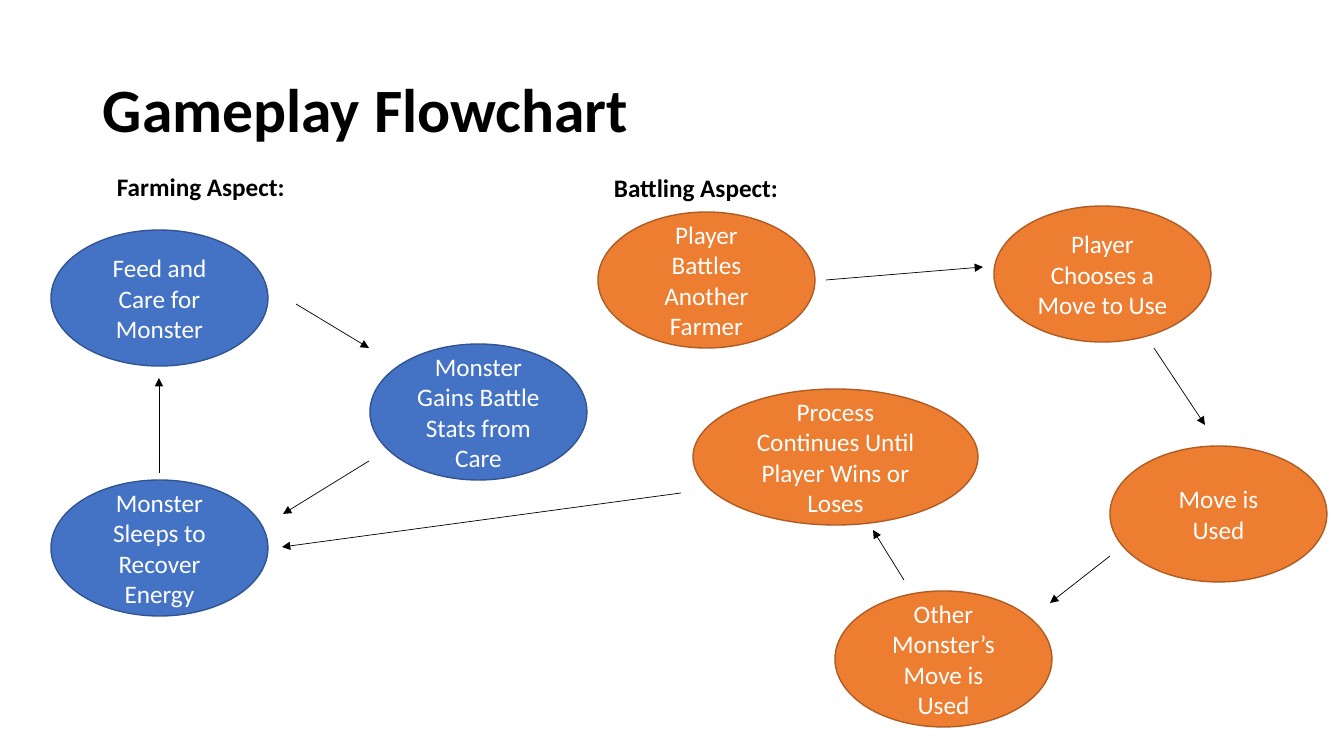
from dataclasses import dataclass

from lxml.etree import SubElement
from pptx import Presentation
from pptx.dml.color import RGBColor
from pptx.enum.shapes import MSO_CONNECTOR, MSO_SHAPE
from pptx.enum.text import MSO_ANCHOR, PP_ALIGN
from pptx.oxml.ns import qn
from pptx.util import Emu, Pt


@dataclass(frozen=True)
class Theme:
    font: str = "Calibri"
    title_size: float = 44
    body_size: float = 18
    ink: str = "000000"
    paper: str = "FFFFFF"
    farming: tuple = ("4472C4", "325491")
    battling: tuple = ("ED7D31", "AF5C24")
    outline: float = 1
    arrow: float = 0.5


def px(pixels):
    return Emu(round(pixels * 914400 / 100.8))


class Flowchart:
    def __init__(self, slide, theme):
        self.slide = slide
        self.theme = theme
        slide.background.fill.solid()
        slide.background.fill.fore_color.rgb = RGBColor.from_string(theme.paper)

    def add_wording(self, paragraph, wording, size, color, bold=False):
        run = paragraph.add_run()
        run.text = wording
        run.font.name = self.theme.font
        run.font.size = Pt(size)
        run.font.bold = bold
        run.font.color.rgb = RGBColor.from_string(color)

    def heading(self, wording, box, size, wrap=False, anchor=MSO_ANCHOR.TOP, spacing=1.0):
        frame = self.slide.shapes.add_textbox(*map(px, box)).text_frame
        frame.word_wrap = wrap
        frame.vertical_anchor = anchor
        frame.paragraphs[0].line_spacing = spacing
        self.add_wording(frame.paragraphs[0], wording, size, self.theme.ink, bold=True)

    def step(self, wording, left, top, colors, width=217, height=136):
        oval = self.slide.shapes.add_shape(
            MSO_SHAPE.OVAL, *map(px, (left, top, width, height)))
        oval.shadow.inherit = False
        fill, line = map(RGBColor.from_string, colors)
        oval.fill.solid()
        oval.fill.fore_color.rgb = fill
        oval.line.color.rgb = line
        oval.line.width = Pt(self.theme.outline)
        frame = oval.text_frame
        frame.word_wrap = True
        frame.vertical_anchor = MSO_ANCHOR.MIDDLE
        frame.paragraphs[0].alignment = PP_ALIGN.CENTER
        self.add_wording(frame.paragraphs[0], wording, self.theme.body_size, self.theme.paper)

    def arrow(self, start, end):
        link = self.slide.shapes.add_connector(
            MSO_CONNECTOR.STRAIGHT, *map(px, start + end))
        link.line.color.rgb = RGBColor.from_string(self.theme.ink)
        link.line.width = Pt(self.theme.arrow)
        properties = link._element.spPr
        SubElement(properties.find(qn("a:ln")), qn("a:tailEnd"), type="triangle")
        SubElement(properties, qn("a:effectLst"))


theme = Theme()
deck = Presentation()
deck.slide_width, deck.slide_height = px(1344), px(756)
chart = Flowchart(deck.slides.add_slide(deck.slide_layouts[6]), theme)

chart.heading("Gameplay Flowchart", (93, 40, 1159, 146), theme.title_size,
              wrap=True, anchor=MSO_ANCHOR.MIDDLE, spacing=0.9)
chart.heading("Farming Aspect:", (107, 166, 190, 40), theme.body_size)
chart.heading("Battling Aspect:", (604, 167, 186, 40), theme.body_size)

farming_steps = [
    ("Feed and Care for Monster", 51, 230),
    ("Monster Gains Battle Stats from Care", 370, 344),
    ("Monster Sleeps to Recover Energy", 51, 480),
]
battling_steps = [
    ("Player Battles Another Farmer", 598, 212),
    ("Player Chooses a Move to Use", 994, 206),
    ("Move is Used", 1110, 446),
    ("Other Monster’s Move is Used", 835, 591),
]
for steps, colors in ((farming_steps, theme.farming), (battling_steps, theme.battling)):
    for wording, left, top in steps:
        chart.step(wording, left, top, colors)
chart.step("Process Continues Until Player Wins or Loses", 693, 389,
           theme.battling, width=285)

farming_flow = [
    ((296, 304), (369, 348)),
    ((369, 461), (283, 514)),
    ((159, 473), (159, 378)),
]
battling_flow = [
    ((826, 280), (983, 267)),
    ((1154, 348), (1205, 425)),
    ((1110, 556), (1050, 603)),
    ((904, 580), (873, 530)),
]
return_to_farm = ((681, 493), (282, 547))
for start, end in farming_flow + battling_flow + [return_to_farm]:
    chart.arrow(start, end)

deck.save("out.pptx")
